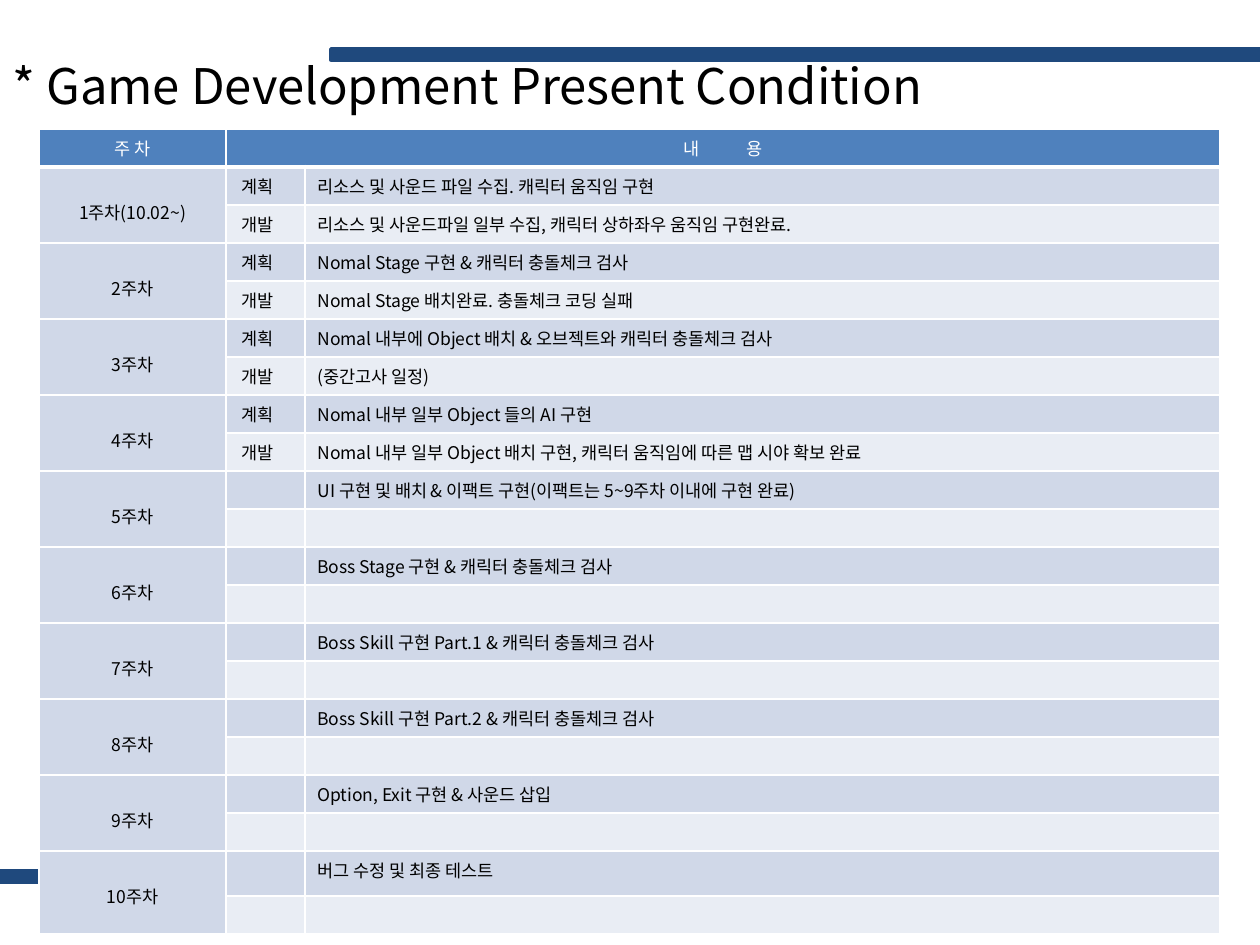
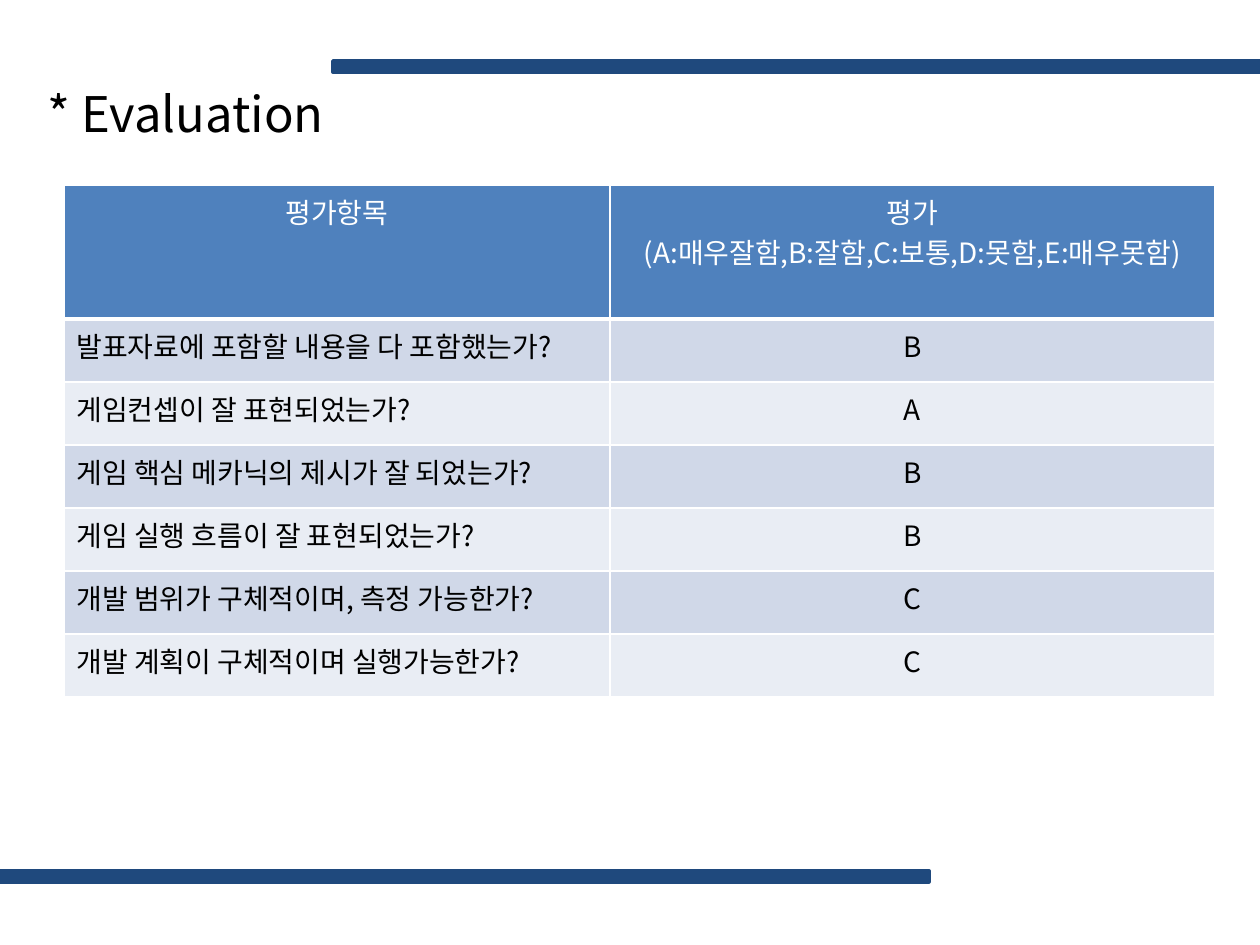
from dataclasses import dataclass

from lxml.etree import SubElement
from pptx import Presentation
from pptx.dml.color import RGBColor as Color
from pptx.enum.shapes import MSO_SHAPE as Shape
from pptx.enum.text import MSO_ANCHOR as Anchor, MSO_AUTO_SIZE as Fit, PP_ALIGN as Align
from pptx.oxml.ns import qn
from pptx.util import Emu, Pt


@dataclass(frozen=True)
class Theme:
    font: str = "Noto Sans CJK KR"
    navy: str = "1F497D"
    head: str = "4F81BD"
    dark: str = "D0D8E8"
    light: str = "E9EDF4"
    white: str = "FFFFFF"
    black: str = "000000"
    title: int = 28
    plan: int = 10
    grade: int = 16


@dataclass(frozen=True)
class Box:
    left: int
    top: int
    width: int
    height: int

    def emu(self) -> tuple:
        return tuple(px(n) for n in (self.left, self.top, self.width, self.height))


@dataclass(frozen=True)
class Week:
    plan: str
    done: str = ""
    date: str = ""


@dataclass(frozen=True)
class Grid:
    left: int
    top: int
    cols: tuple
    rows: tuple
    size: int
    mid: tuple


THEME = Theme()
WIDE, HIGH = 1260, 945
BAR_W, BAR_H = 929, 11
FOOT = Box(0, 871, BAR_W, BAR_H)

WEEKS = (
    Week("리소스 및 사운드 파일 수집. 캐릭터 움직임 구현",
         "리소스 및 사운드파일 일부 수집, 캐릭터 상하좌우 움직임 구현완료.", "(10.02~)"),
    Week("Nomal Stage 구현 & 캐릭터 충돌체크 검사",
         "Nomal Stage 배치완료. 충돌체크 코딩 실패"),
    Week("Nomal 내부에 Object 배치 & 오브젝트와 캐릭터 충돌체크 검사",
         "(중간고사 일정)"),
    Week("Nomal 내부 일부 Object 들의 AI 구현",
         "Nomal 내부 일부 Object 배치 구현, 캐릭터 움직임에 따른 맵 시야 확보 완료"),
    Week("UI 구현 및 배치 & 이팩트 구현(이팩트는 5~9주차 이내에 구현 완료)"),
    Week("Boss Stage 구현 & 캐릭터 충돌체크 검사"),
    Week("Boss Skill 구현 Part.1 & 캐릭터 충돌체크 검사"),
    Week("Boss Skill 구현 Part.2 & 캐릭터 충돌체크 검사"),
    Week("Option, Exit 구현 & 사운드 삽입"),
    Week("버그 수정 및 최종 테스트"),
)

GRADES = (
    ("평가항목", "평가\n(A:매우잘함,B:잘함,C:보통,D:못함,E:매우못함)"),
    ("발표자료에 포함할 내용을 다 포함했는가?", "B"),
    ("게임컨셉이 잘 표현되었는가?", "A"),
    ("게임 핵심 메카닉의 제시가 잘 되었는가?", "B"),
    ("게임 실행 흐름이 잘 표현되었는가?", "B"),
    ("개발 범위가 구체적이며, 측정 가능한가?", "C"),
    ("개발 계획이 구체적이며 실행가능한가?", "C"),
)


def px(n: int) -> Emu:
    return Emu(round(n * 914400 / 126))


def style(run, size: int, tint: str) -> None:
    font = run.font
    font.size, font.bold = Pt(size), False
    font.color.rgb = Color.from_string(tint)
    font.name = THEME.font
    SubElement(run._r.get_or_add_rPr(), qn("a:ea"), typeface=THEME.font)


def bar(slide, box: Box) -> None:
    shape = slide.shapes.add_shape(Shape.RECTANGLE, *box.emu())
    shape.shadow.inherit = False
    shape.fill.solid()
    shape.fill.fore_color.rgb = Color.from_string(THEME.navy)
    shape.line.color.rgb = Color.from_string(THEME.navy)
    shape.line.width = Pt(2)


def page(deck, text: str, box: Box, head: Box):
    slide = deck.slides.add_slide(deck.slide_layouts[5])
    bar(slide, head)
    bar(slide, FOOT)
    title = slide.shapes.title
    title.left, title.top, title.width, title.height = box.emu()
    frame = title.text_frame
    frame.text = text
    frame.word_wrap = True
    frame.auto_size = Fit.NONE
    frame.vertical_anchor = Anchor.TOP
    para = frame.paragraphs[0]
    para.alignment = Align.LEFT
    style(para.runs[0], THEME.title, THEME.black)
    return slide


def edge(cell, base: int) -> None:
    props = cell._tc.get_or_add_tcPr()
    for side, width in (("L", 1), ("R", 1), ("T", 1), ("B", base)):
        line = SubElement(props, qn(f"a:ln{side}"), w=str(Pt(width)))
        fill = SubElement(line, qn("a:solidFill"))
        SubElement(fill, qn("a:srgbClr"), val=THEME.white)


def dress(cell, row: int, size: int, mid: bool) -> None:
    top = row == 0
    edge(cell, 3 if top else 1)
    cell.fill.solid()
    tone = THEME.head if top else THEME.dark if row % 2 else THEME.light
    cell.fill.fore_color.rgb = Color.from_string(tone)
    for para in cell.text_frame.paragraphs:
        para.alignment = Align.CENTER if top or mid else Align.LEFT
        for run in para.runs:
            style(run, size, THEME.white if top else THEME.black)
        if not para.runs:
            SubElement(para._p, qn("a:endParaRPr"), sz=str(size * 100))


def table(slide, grid: Grid, data: list):
    box = Box(grid.left, grid.top, sum(grid.cols), sum(grid.rows))
    made = slide.shapes.add_table(len(grid.rows), len(grid.cols), *box.emu()).table
    for col, width in zip(made.columns, grid.cols):
        col.width = px(width)
    for row, height in zip(made.rows, grid.rows):
        row.height = px(height)
    for r, line in enumerate(data):
        for c, text in enumerate(line):
            cell = made.cell(r, c)
            cell.text_frame.text = text
            dress(cell, r, grid.size, c in grid.mid)
    return made


def plan(deck) -> None:
    slide = page(deck, "* Game Development Present Condition",
                 Box(0, 49, 1087, 251), Box(331, 49, BAR_W, BAR_H))
    data = [("주 차", "내 ", "")]
    for n, week in enumerate(WEEKS, 1):
        marks = ("계획", "개발") if week.done else ("", "")
        data.append((f"{n}주차{week.date}", marks[0], week.plan))
        data.append(("", marks[1], week.done))
    rows = (38,) * 19 + (45, 38)
    made = table(slide, Grid(39, 129, (187, 79, 915), rows, THEME.plan, (0,)), data)
    para = made.cell(0, 1).text_frame.paragraphs[0]
    para.runs[0]._r.get_or_add_rPr().set("spc", "1240")
    tail = para.add_run()
    tail.text = "용"
    style(tail, THEME.plan, THEME.white)
    made.cell(0, 1).merge(made.cell(0, 2))
    for r in range(1, len(data), 2):
        made.cell(r, 0).margin_top = px(32)
        made.cell(r, 0).merge(made.cell(r + 1, 0))
        for cell in (made.cell(r, 1), made.cell(r + 1, 1)):
            cell.margin_left = px(16)


def grade(deck) -> None:
    slide = page(deck, "* Evaluation", Box(35, 77, 615, 72),
                 Box(333, 61, BAR_W, BAR_H))
    rows = (134,) + (63,) * (len(GRADES) - 1)
    table(slide, Grid(64, 185, (546, 605), rows, THEME.grade, (1,)), GRADES)


def main() -> None:
    deck = Presentation()
    deck.slide_width, deck.slide_height = px(WIDE), px(HIGH)
    plan(deck)
    grade(deck)
    deck.save("out.pptx")


if __name__ == "__main__":
    main()
